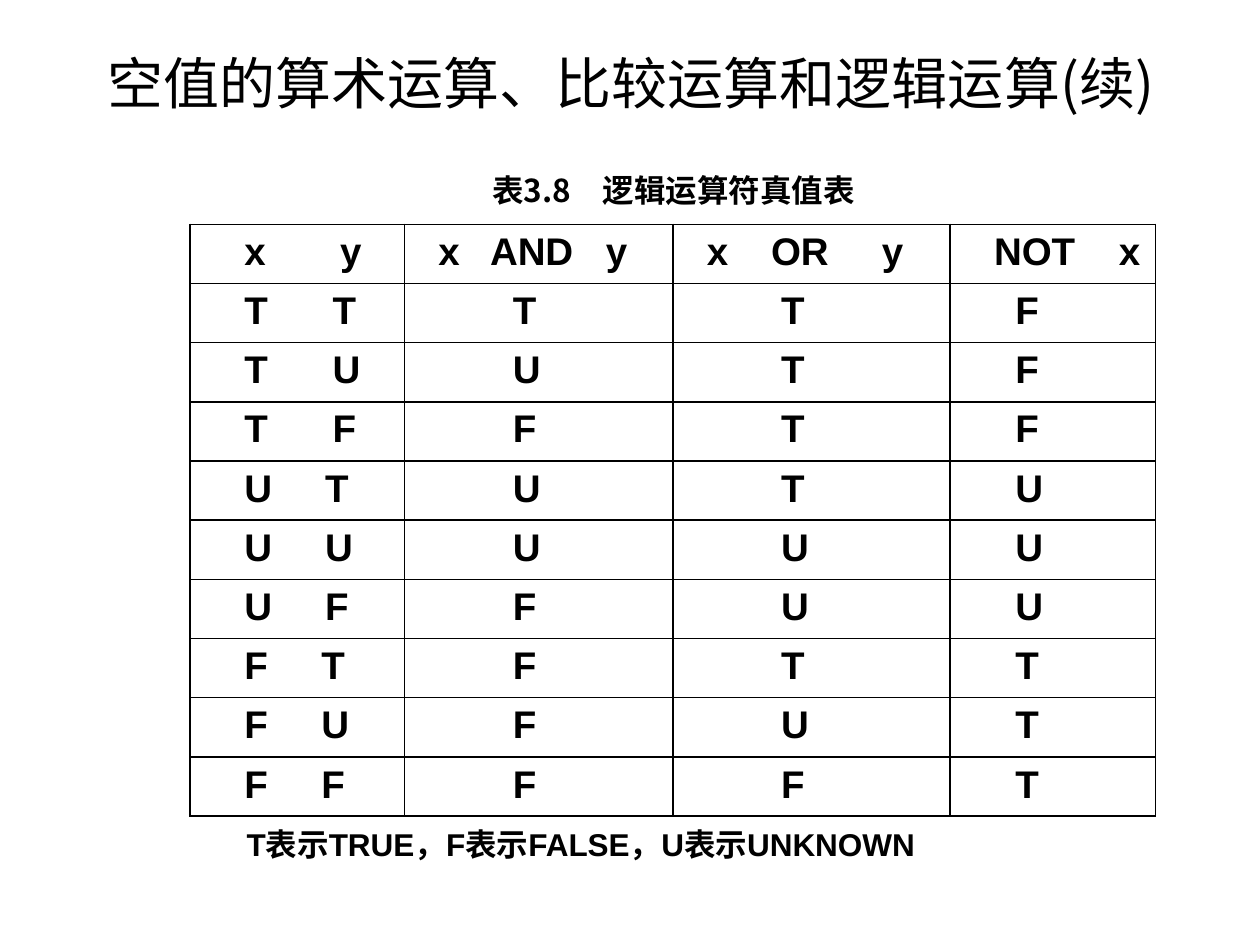
from lxml.etree import SubElement
from pptx import Presentation
from pptx.dml.color import RGBColor
from pptx.enum.text import MSO_ANCHOR, PP_ALIGN
from pptx.oxml.ns import qn
from pptx.util import Inches, Pt

# Content
CJK = "Noto Sans CJK SC"
TITLE = [("空值", "Noto Sans CJK JP"), ("的算术运算、比较运算和逻辑运算(续)", CJK)]
CAPTION = [("表3.8\u3000逻辑运算符真值表", CJK)]
LEGEND = [("T表示TRUE，F表示FALSE，U表示UNKNOWN", "Arial")]
HEADERS = ["x\ty", "x\tAND\ty", "x\tOR\ty", "NOT\tx"]
ROWS = [
    ("T\tT", "T", "T", "F"),
    ("T\tU", "U", "T", "F"),
    ("T\tF", "F", "T", "F"),
    ("U\tT", "U", "T", "U"),
    ("U\tU", "U", "U", "U"),
    ("U\tF", "F", "U", "U"),
    ("F\tT", "F", "T", "T"),
    ("F\tU", "F", "U", "T"),
    ("F\tF", "F", "F", "T"),
]

# Table layout in inches; tab stops are measured from the cell's left margin
COLUMN_WIDTHS = [1.7, 2.13, 2.2, 1.63]
ROW_HEIGHT = 0.47
HEADER_MARGINS = [0.43, 0.27, 0.27, 0.35]
HEADER_TABS = [[0.76], [0.41, 1.33], [0.51, 1.39], [0.99]]
VALUE_MARGINS = [0.43, 0.86, 0.86, 0.52]
OPERAND_TABS = {"T": [0.7], "U": [0.64], "F": [0.61]}


def color(hex_string):
    return RGBColor.from_string(hex_string)


def write(text_frame, runs, size=18, bold=True, align=PP_ALIGN.CENTER, tabs=()):
    text_frame.word_wrap = True
    paragraph = text_frame.paragraphs[0]
    paragraph.alignment = align
    if tabs:
        tab_list = SubElement(paragraph._p.get_or_add_pPr(), qn("a:tabLst"))
        for stop in tabs:
            SubElement(tab_list, qn("a:tab"), pos=str(Inches(stop)), algn="l")
    for text, font_name in runs:
        run = paragraph.add_run()
        run.text = text
        font = run.font
        font.name, font.size, font.bold = font_name, Pt(size), bold
        font.color.rgb = color("000000")
        east_asian = CJK if font_name == "Arial" else font_name
        SubElement(run._r.get_or_add_rPr(), qn("a:ea"), typeface=east_asian)


def add_text(slide, runs, left, top, width, height, **text_format):
    box = slide.shapes.add_textbox(*map(Inches, (left, top, width, height)))
    write(box.text_frame, runs, **text_format)
    return box.text_frame


def add_borders(cell, hex_string="000000", width=1):
    properties = cell._tc.get_or_add_tcPr()
    for side in ("lnL", "lnR", "lnT", "lnB"):
        line = SubElement(properties, qn(f"a:{side}"), w=str(Pt(width)))
        fill = SubElement(line, qn("a:solidFill"))
        SubElement(fill, qn("a:srgbClr"), val=hex_string)


def add_truth_table(slide, left, top):
    lines = [HEADERS, *ROWS]
    table = slide.shapes.add_table(
        len(lines), len(HEADERS), Inches(left), Inches(top),
        Inches(sum(COLUMN_WIDTHS)), Inches(ROW_HEIGHT * len(lines)),
    ).table
    table.first_row = table.horz_banding = False
    for column, width in zip(table.columns, COLUMN_WIDTHS):
        column.width = Inches(width)
    for row_index, texts in enumerate(lines):
        table.rows[row_index].height = Inches(ROW_HEIGHT)
        for column_index, text in enumerate(texts):
            cell = table.cell(row_index, column_index)
            add_borders(cell)
            cell.fill.background()
            if row_index == 0:
                margin, tabs = HEADER_MARGINS[column_index], HEADER_TABS[column_index]
            else:
                margin = VALUE_MARGINS[column_index]
                tabs = OPERAND_TABS[text[0]] if "\t" in text else ()
            cell.margin_left = Inches(margin)
            cell.margin_right = Inches(0.1)
            write(cell.text_frame, [(text, "Arial")], size=22,
                  align=PP_ALIGN.LEFT, tabs=tabs)


def main():
    presentation = Presentation()
    presentation.slide_width, presentation.slide_height = Inches(10), Inches(7.5)
    slide = presentation.slides.add_slide(presentation.slide_layouts[6])

    # Title
    title = add_text(slide, TITLE, 0.51, 0.1, 9, 1.11, size=32, bold=False)
    title.vertical_anchor = MSO_ANCHOR.MIDDLE

    # Truth table with its legend and caption
    add_truth_table(slide, 1.51, 1.78)
    add_text(slide, LEGEND, 1.51, 6.5, 6.2, 0.4)
    caption = add_text(slide, CAPTION, 3.5, 1.31, 3.75, 0.4)
    caption.margin_right = Inches(0.16)

    presentation.save("out.pptx")


if __name__ == "__main__":
    main()
